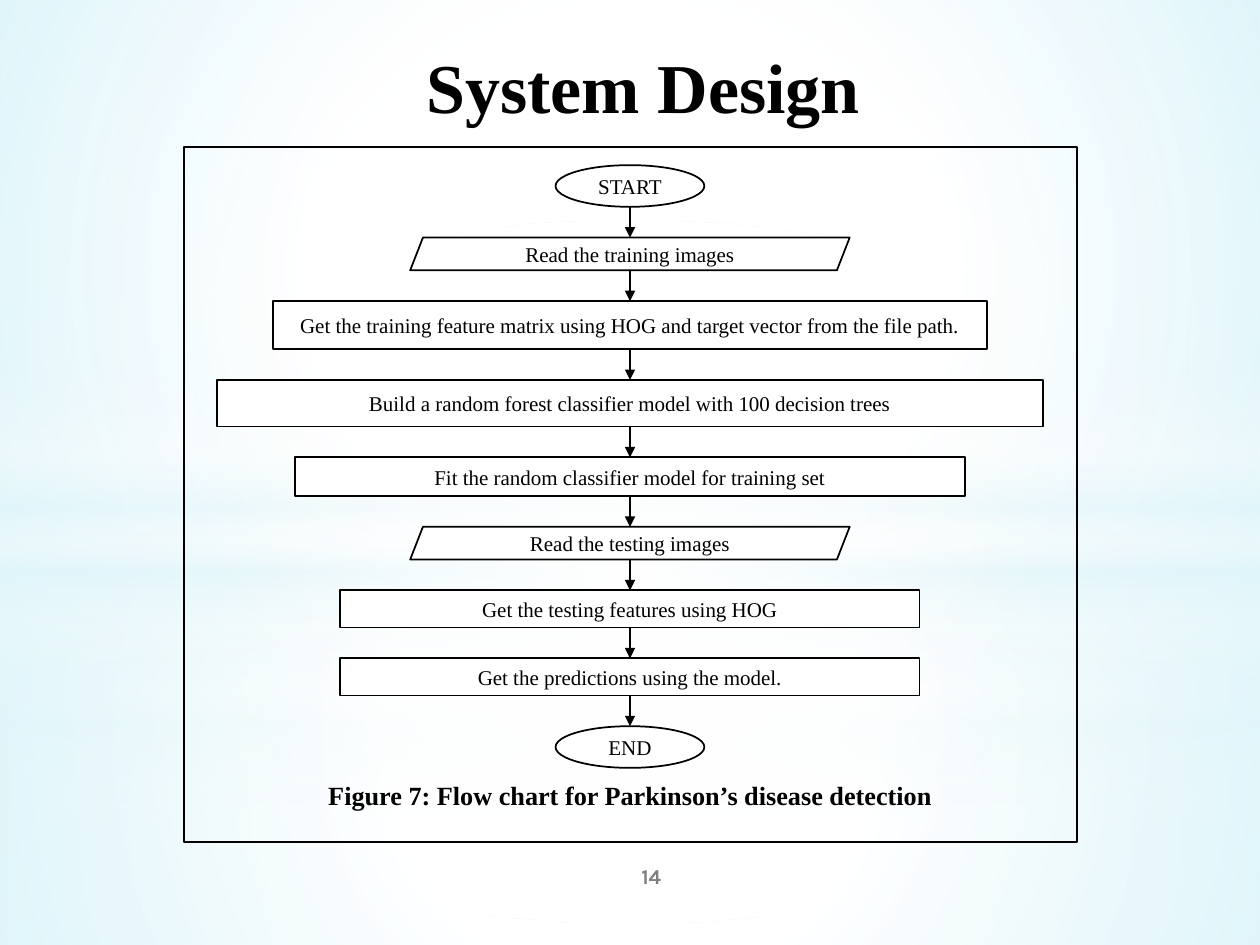
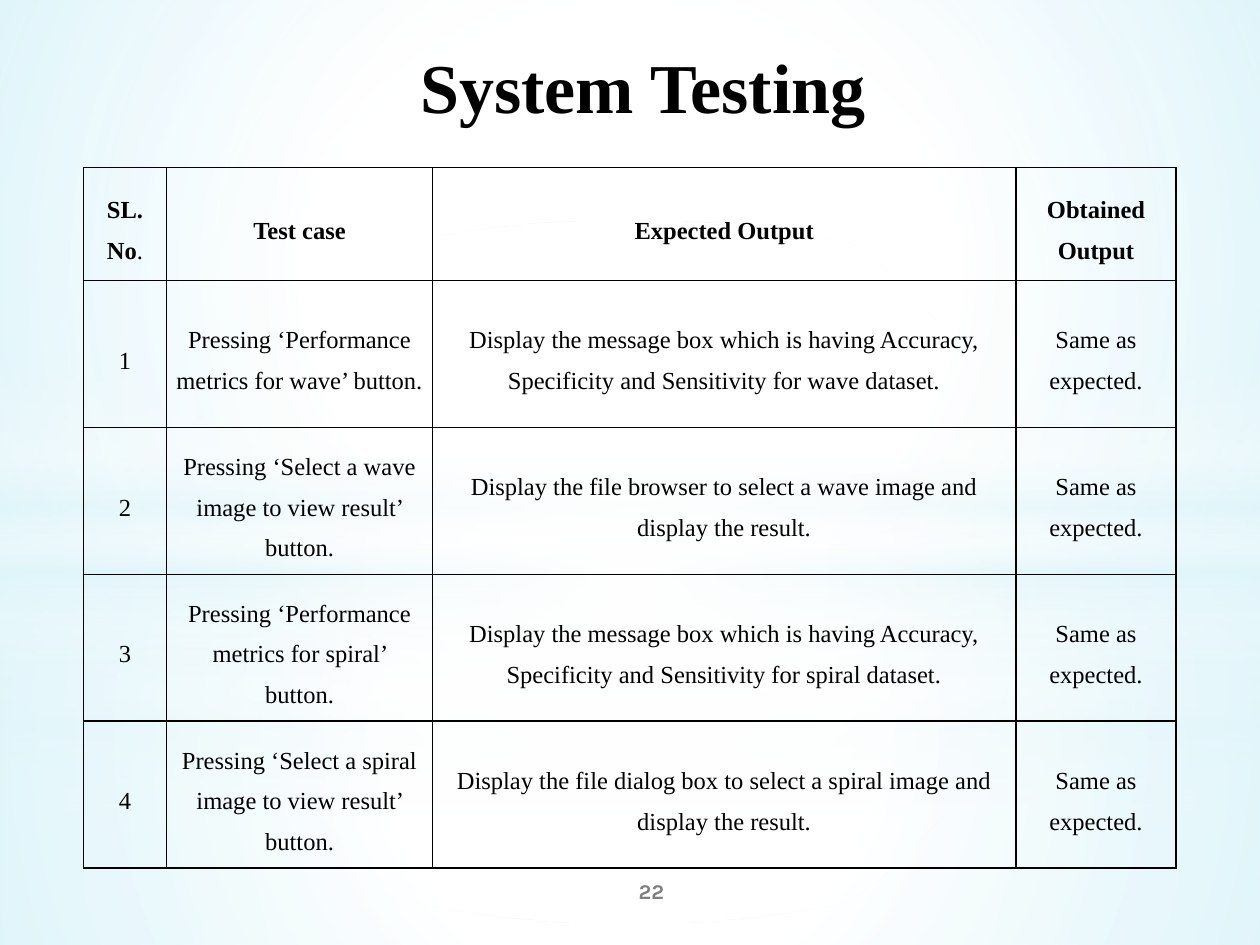
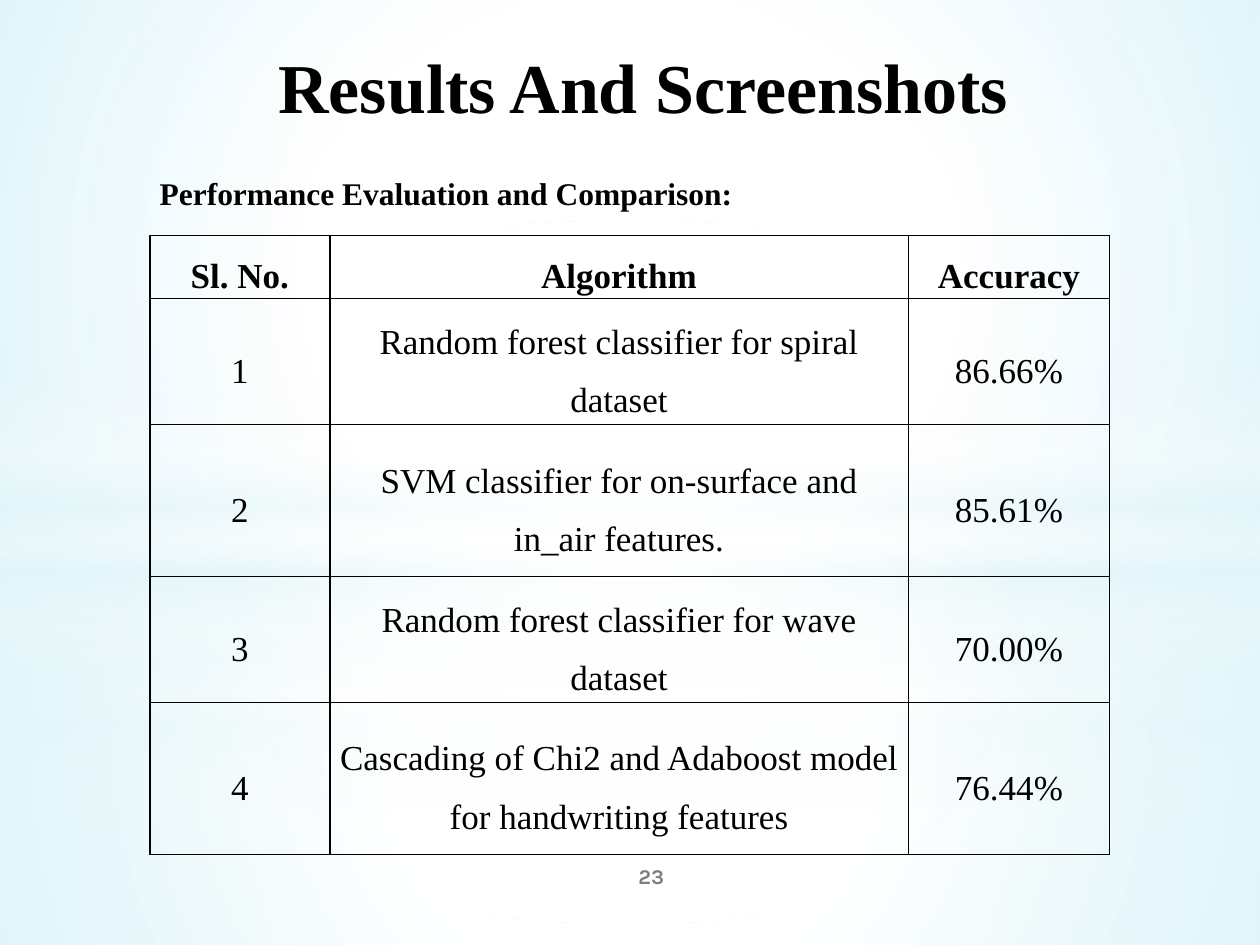
from lxml import etree
from pptx import Presentation
from pptx import util as u
from pptx.dml.color import RGBColor
from pptx.enum import shapes, text
from pptx.oxml import ns

SERIF, SANS = "Times New Roman", "Karla"
BLACK, WHITE, GREY, PALE = "000000", "FFFFFF", "7F7F7F", "DEF5FA"
WIDTH, HEIGHT = 25.4, 19.05
CENTRE = WIDTH / 2

RECT = shapes.MSO_SHAPE.RECTANGLE
OVAL = shapes.MSO_SHAPE.OVAL
SLANTED = shapes.MSO_SHAPE.PARALLELOGRAM

# Gradient stops: position, colour, opacity (all in percent)
LOWER_GLOW = [(0, WHITE, 91), (37, WHITE, 76), (100, PALE, 79)]
UPPER_GLOW = [(0, WHITE, 89), (48, WHITE, 62), (100, PALE, 79)]
HORIZON = [(0, WHITE, 0), (29, WHITE, 30), (45, PALE, 40),
           (55, WHITE, 26), (65, PALE, 60), (100, WHITE, 0)]
HALO = [(0, WHITE, 100), (55, WHITE, 0), (100, WHITE, 0)]

# Flow chart steps: shape, width, height, label
STEP_GAP = 0.62
STEPS = [
    (OVAL, 3, 0.84, "START"),
    (SLANTED, 8.86, 0.66, "Read the training images"),
    (RECT, 14.4, 0.97, "Get the training feature matrix using HOG and target "
                       "vector from the file path."),
    (RECT, 16.66, 0.94, "Build a random forest classifier model with 100 decision trees"),
    (RECT, 13.5, 0.78, "Fit the random classifier model for training set"),
    (SLANTED, 8.86, 0.66, "Read the testing images"),
    (RECT, 11.68, 0.75, "Get the testing features using HOG"),
    (RECT, 11.68, 0.75, "Get the predictions using the model."),
    (OVAL, 3, 0.84, "END"),
]

TESTS = [
    ("SL. No", "Test case", "Expected Output", "Obtained Output"),
    ("1", "Pressing ‘Performance metrics for wave’ button.",
     "Display the message box which is having Accuracy, Specificity and "
     "Sensitivity for wave dataset.", "Same as expected."),
    ("2", "Pressing ‘Select a wave image to view result’ button.",
     "Display the file browser to select a wave image and display the result.",
     "Same as expected."),
    ("3", "Pressing ‘Performance metrics for spiral’ button.",
     "Display the message box which is having Accuracy, Specificity and "
     "Sensitivity for spiral dataset.", "Same as expected."),
    ("4", "Pressing ‘Select a spiral image to view result’ button.",
     "Display the file dialog box to select a spiral image and display the result.",
     "Same as expected."),
]

RESULTS = [
    ("Sl. No.", "Algorithm", "Accuracy"),
    ("1", "Random forest classifier for spiral dataset", "86.66%"),
    ("2", "SVM classifier for on-surface and in_air features.", "85.61%"),
    ("3", "Random forest classifier for wave dataset", "70.00%"),
    ("4", "Cascading of Chi2 and Adaboost model for handwriting features", "76.44%"),
]


def rgb(code):
    return RGBColor.from_string(code)


def box(*lengths):
    return [u.Cm(n) for n in lengths]


def add_xml(parent, tag, **attributes):
    return etree.SubElement(parent, ns.qn(tag), attributes)


def format_run(r, size, bold=False, color=BLACK, font=SERIF):
    r.font.size, r.font.bold, r.font.name = u.Pt(size), bold, font
    r.font.color.rgb = rgb(color)


def write(tf, words, size, align=text.PP_ALIGN.CENTER, spacing=None, **style):
    tf.text = words
    tf.word_wrap = True
    p = tf.paragraphs[0]
    p.alignment = align
    p.line_spacing = spacing
    format_run(p.runs[0], size, **style)


def add_text(s, at, words, size, **style):
    tf = s.shapes.add_textbox(*box(*at)).text_frame
    write(tf, words, size, **style)
    return tf


def add_shape(s, kind, at, fill=None):
    sp = s.shapes.add_shape(kind, *box(*at))
    sp.shadow.inherit = False
    if fill:
        sp.fill.solid()
        sp.fill.fore_color.rgb = rgb(fill)
    else:
        sp.fill.background()
    sp.line.color.rgb = rgb(BLACK)
    sp.line.width = u.Pt(1)
    return sp


def add_glow(s, kind, top, height, stops, radial=True):
    """Add a full-width translucent gradient, round or from top to bottom."""
    sp = add_shape(s, kind, (0, top, WIDTH, height))
    sp.line.fill.background()
    old = sp.element.spPr.find(ns.qn("a:noFill"))
    grad = etree.Element(ns.qn("a:gradFill"), rotWithShape="1")
    stop_list = add_xml(grad, "a:gsLst")
    for position, color, opacity in stops:
        stop = add_xml(stop_list, "a:gs", pos=str(position * 1000))
        clr = add_xml(stop, "a:srgbClr", val=color)
        add_xml(clr, "a:alpha", val=str(opacity * 1000))
    if radial:
        circle = add_xml(grad, "a:path", path="circle")
        add_xml(circle, "a:fillToRect", **dict.fromkeys("ltrb", "50000"))
    else:
        add_xml(grad, "a:lin", ang="5400000", scaled="0")
    sp.element.spPr.replace(old, grad)
    return sp


def add_backdrop(s):
    """Draw the shared glow and move it to the layout of the slide."""
    layout = s.slide_layout
    for holder in list(layout.placeholders):
        layout.shapes.element.remove(holder.element)
    glows = []
    for split, horizon in ((14.17, 10.46), (10.74, 7.37)):
        glows += [
            add_glow(s, RECT, split, HEIGHT - split, LOWER_GLOW),
            add_glow(s, RECT, 0, split, UPPER_GLOW),
            add_glow(s, RECT, horizon, 6.35, HORIZON, radial=False),
            add_glow(s, OVAL, 4.45, 14.17, HALO),
        ]
    for sp in glows:
        layout.shapes.element.append(sp.element)


def add_title(s, words):
    tf = add_text(s, (2.74, 0, 19.94, 2.34), words, 40, bold=True)
    tf.margin_left, tf.margin_top = box(0.76, 0.88)


def add_number(s, number, top=17.15):
    tf = add_text(s, (10.59, top, 5.08, 1.02), number, 12,
                  bold=True, color=GREY, font=SANS)
    tf.vertical_anchor = text.MSO_ANCHOR.MIDDLE


def add_arrow(s, top, bottom):
    c = s.shapes.add_connector(shapes.MSO_CONNECTOR.STRAIGHT,
                               *box(CENTRE, top, CENTRE, bottom))
    c.line.color.rgb = rgb(BLACK)
    c.line.width = u.Pt(1)
    add_xml(c.line._get_or_add_ln(), "a:tailEnd", type="triangle")
    add_xml(c.element.spPr, "a:effectLst")


def add_step(s, kind, top, width, height, label):
    sp = add_shape(s, kind, (CENTRE - width / 2, top, width, height), WHITE)
    if kind == SLANTED:
        sp.adjustments[0] = 0.39
    write(sp.text_frame, label, 12)
    sp.text_frame.vertical_anchor = text.MSO_ANCHOR.MIDDLE


def add_flow_chart(s, top):
    for i, (kind, width, height, label) in enumerate(STEPS):
        if i:
            add_arrow(s, top - STEP_GAP, top)
        add_step(s, kind, top, width, height, label)
        top += height + STEP_GAP


def add_borders(cell):
    tc_pr = cell._tc.get_or_add_tcPr()
    for side in ("a:lnL", "a:lnR", "a:lnT", "a:lnB"):
        ln = add_xml(tc_pr, side, w=str(u.Pt(1)))
        add_xml(add_xml(ln, "a:solidFill"), "a:srgbClr", val=BLACK)


def add_table(s, left, top, widths, heights, rows, size):
    at = box(left, top, sum(widths), sum(heights))
    table = s.shapes.add_table(len(rows), len(widths), *at).table
    table.first_row = table.horz_banding = False
    for column, width in zip(table.columns, widths):
        column.width = u.Cm(width)
    for i, (row, height) in enumerate(zip(table.rows, heights)):
        row.height = u.Cm(height)
        for cell, words in zip(row.cells, rows[i]):
            add_borders(cell)
            cell.fill.background()
            cell.margin_left = cell.margin_right = u.Cm(0.19)
            cell.margin_top = cell.margin_bottom = 0
            cell.vertical_anchor = text.MSO_ANCHOR.MIDDLE
            write(cell.text_frame, words, size, spacing=1.5, bold=i == 0)
    return table


def build_design(s):
    add_title(s, "System Design")
    add_flow_chart(s, 3.33)
    add_shape(s, RECT, (3.71, 2.97, 18, 14))
    tf = add_text(s, (4.88, 14.48, 15.65, 2.44),
                  "Figure 7: Flow chart for Parkinson’s disease detection",
                  15, spacing=1.3, bold=True)
    tf.margin_top = u.Cm(1.04)
    add_number(s, "14")


def build_testing(s):
    add_title(s, "System Testing")
    add_number(s, "22", top=17.45)
    table = add_table(s, 1.68, 3.38, (1.68, 5.36, 11.76, 3.23),
                      [2.28] + [2.96] * 4, TESTS, 14)
    r = table.cell(0, 0).text_frame.paragraphs[0].add_run()
    r.text = "."
    format_run(r, 14)


def build_results(s):
    add_title(s, "Results And Screenshots")
    add_number(s, "23")
    add_table(s, 3.02, 4.75, (3.63, 11.66, 4.06),
              [1.24] + [2.47, 3.06] * 2, RESULTS, 20)
    add_text(s, (2.97, 3.38, 18.47, 1.02), "Performance Evaluation and Comparison:",
             18, align=text.PP_ALIGN.LEFT, bold=True)


def main():
    prs = Presentation()
    prs.slide_width, prs.slide_height = box(WIDTH, HEIGHT)
    blank = prs.slide_layouts[6]
    for i, build in enumerate((build_design, build_testing, build_results)):
        s = prs.slides.add_slide(blank)
        if i == 0:
            add_backdrop(s)
        build(s)
    prs.save("out.pptx")


if __name__ == "__main__":
    main()
